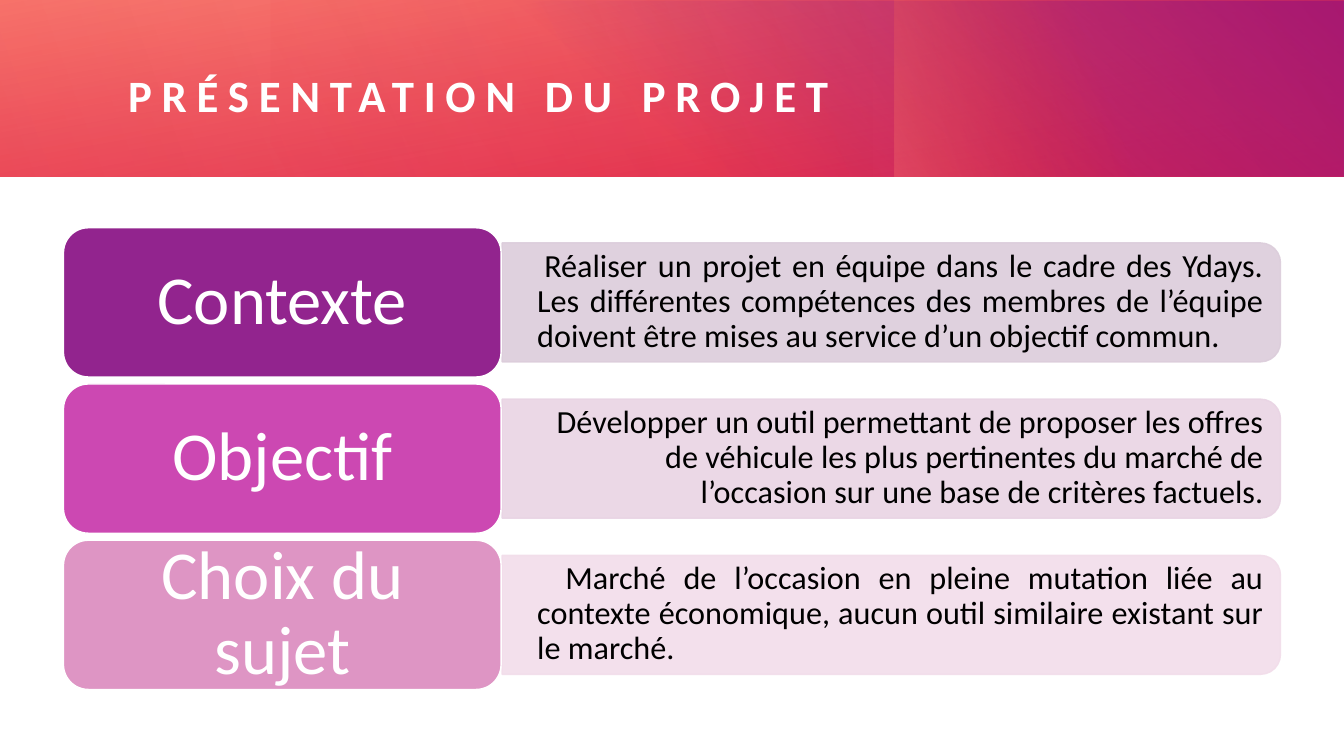
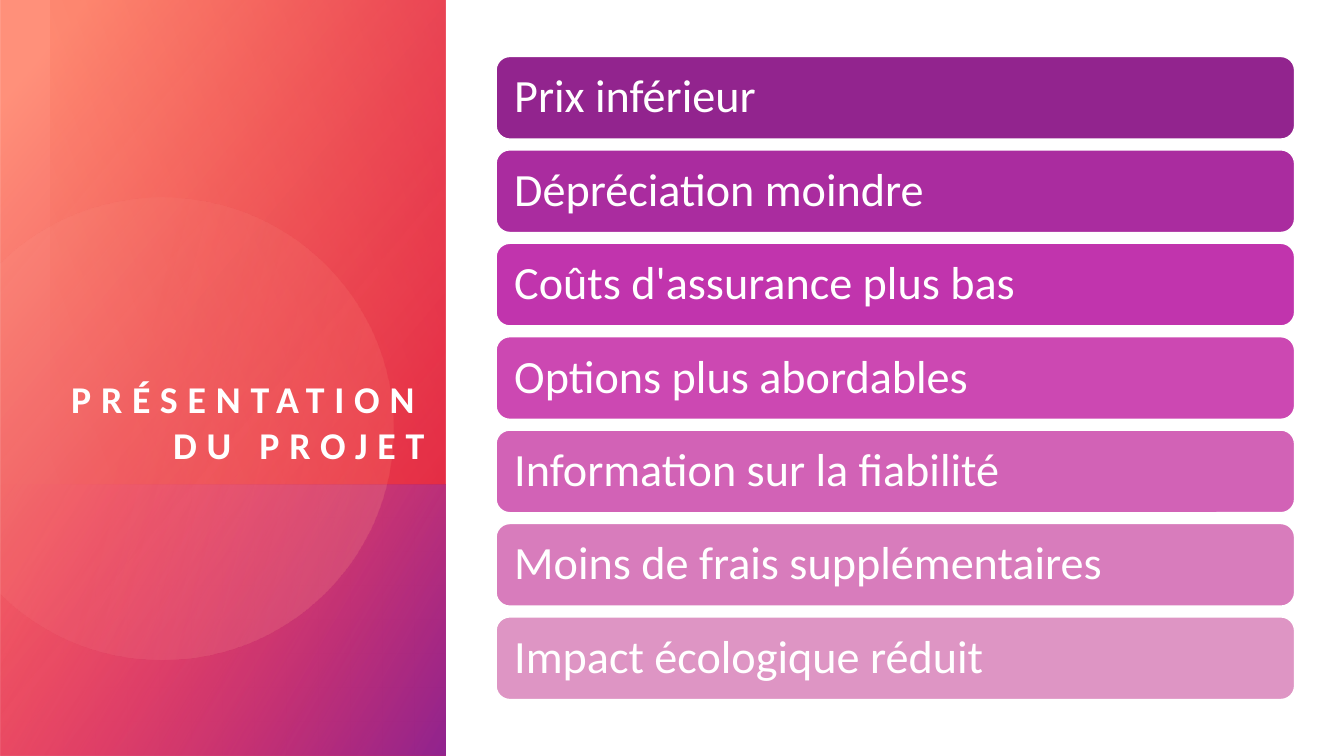
"""Builds two project presentation slides with gradient bands and rounded panels."""
from math import acos, cos, sin

from lxml.etree import SubElement
from pptx import Presentation
from pptx.dml.color import RGBColor as Rgb
from pptx.enum.shapes import MSO_SHAPE as Shape
from pptx.enum.text import MSO_ANCHOR as Anchor, PP_ALIGN as Align
from pptx.oxml.ns import qn
from pptx.util import Inches, Pt

COLORS = {
    "white": "FFFFFF", "black": "000000",
    "red": "DA002F", "orange": "FE4A00", "peach": "FF907A",
    "blush": "FFBCAF", "pink": "FF5076",
    "plum": "92248E", "violet": "AA2C9F", "magenta": "C134AD", "orchid": "CC48B2",
    "rose": "D262B6", "mauve": "D87CBC", "petal": "DE95C4",
    "plum_tint": "DCCDDB", "orchid_tint": "E9D4E4", "petal_tint": "F2DDEA",
}
TITLE = "PRÉSENTATION DU PROJET"


class Slides:
    font = "Calibri"

    def __init__(self):
        self.deck = Presentation()
        self.deck.slide_width, self.deck.slide_height = Inches(13.33), Inches(7.5)
        self.page = None

    def new_page(self):
        self.page = self.deck.slides.add_slide(self.deck.slide_layouts[6])

    def color(self, name):
        return Rgb.from_string(COLORS[name])

    def set_alphas(self, shape, alphas):
        for node, alpha in zip(shape._element.spPr.iter(qn("a:srgbClr")), alphas):
            if alpha < 100:
                SubElement(node, qn("a:alpha")).set("val", str(alpha * 1000))

    def shape(self, kind, left, top, width, height, turn=0):
        if turn % 180:
            left, top = left + (width - height) / 2, top + (height - width) / 2
            width, height = height, width
        shape = self.page.shapes.add_shape(
            kind, Inches(left), Inches(top), Inches(width), Inches(height))
        shape.rotation = turn
        return shape

    def gradient(self, shape, stops, angle):
        shape.shadow.inherit = False
        shape.line.fill.background()
        shape.fill.gradient()
        shape.fill.gradient_angle = 360 - angle
        for stop, (position, name, _) in zip(shape.fill.gradient_stops, stops):
            stop.position = position / 100
            stop.color.rgb = self.color(name)
        self.set_alphas(shape, [alpha for _, _, alpha in stops])

    def layer(self, place, stops, angle, turn=0, flip=False):
        shape = self.shape(Shape.RECTANGLE, *place, turn=turn)
        if flip:
            shape._element.spPr.find(qn("a:xfrm")).set("flipH", "1")
        self.gradient(shape, stops, angle)

    def clipped_circle(self, center_x, center_y, radius, stops, angle, steps=90):
        limit = acos(-center_x / radius)
        turns = [limit * (2 * step / steps - 1) for step in range(steps + 1)]
        points = [(Inches(center_x + radius * cos(turn)),
                   Inches(center_y + radius * sin(turn))) for turn in turns]
        outline = self.page.shapes.build_freeform(*points[0], scale=1.0)
        outline.add_line_segments(points[1:], close=True)
        self.gradient(outline.convert_to_shape(), stops, angle)

    def solid(self, shape, fill, line, alpha=100):
        shape.shadow.inherit = False
        shape.fill.solid()
        shape.fill.fore_color.rgb = self.color(fill)
        shape.line.color.rgb = self.color(line)
        shape.line.width = Pt(1)
        self.set_alphas(shape, (alpha, alpha))

    def add_text(self, shape, text, size, color="white", align=Align.LEFT,
                 anchor=Anchor.MIDDLE, margins=(0, 0), spacing=0.9):
        box = shape.text_frame
        box.word_wrap = True
        box.vertical_anchor = anchor
        box.margin_left = box.margin_right = Inches(margins[0])
        box.margin_top = box.margin_bottom = Inches(margins[1])
        para = box.paragraphs[0]
        para.alignment, para.line_spacing = align, spacing
        span = para.add_run()
        span.text = text
        span.font.name, span.font.size = self.font, Pt(size)
        span.font.color.rgb = self.color(color)
        return para, span

    def text_box(self, left, top, width, height):
        return self.page.shapes.add_textbox(
            Inches(left), Inches(top), Inches(width), Inches(height))

    def title(self, place, size, align=Align.LEFT, anchor=Anchor.MIDDLE):
        _, span = self.add_text(self.text_box(*place), TITLE, size,
                                align=align, anchor=anchor, spacing=1.0)
        span.font.bold = True
        span._r.get_or_add_rPr().set("spc", "700")

    def panel(self, place, fill, text, size, align, margins):
        shape = self.shape(Shape.ROUNDED_RECTANGLE, *place)
        self.solid(shape, fill, "white")
        self.add_text(shape, text, size, align=align, margins=margins)

    def detail(self, top, tint, text, align, indent):
        strip = self.shape(Shape.ROUND_2_SAME_RECTANGLE, 4.98, top, 7.72, 1.18, turn=90)
        self.solid(strip, tint, tint, alpha=90)
        box = self.text_box(4.98, top + 0.05, 7.66, 1.07)
        para, _ = self.add_text(box, text, 23, "black", align, margins=(0.1, 0.05))
        properties = para._p.get_or_add_pPr()
        properties.set("marL", str(Inches(0.25)))
        properties.set("indent", str(Inches(indent)))


def build_overview(slides):
    slides.new_page()
    slides.layer((0, 0, 13.33, 1.75), [(0, "red", 83), (100, "peach", 100)], 260)
    slides.layer((4.81, 0.01, 8.52, 1.74), [(22, "plum", 0), (99, "plum", 100)], 310)
    slides.layer((8.87, 0, 3.74, 1.75), [(45, "orange", 0), (99, "peach", 33)], 250, 270)
    slides.layer((2.68, 0, 10.64, 1.75), [(0, "red", 30), (99, "red", 0)], 330, 180)
    slides.layer((0, 0, 8.65, 1.75), [(0, "red", 21), (99, "red", 0)], 340)
    slides.title((1.27, 0.41, 11.35, 1.06), 32)
    rows = [
        ("Contexte", "plum", Align.JUSTIFY, 0.07,
         "Réaliser un projet en équipe dans le cadre des Ydays. Les différentes "
         "compétences des membres de l’équipe doivent être mises au service "
         "d’un objectif commun."),
        ("Objectif", "orchid", Align.RIGHT, 0,
         "Développer un outil permettant de proposer les offres de véhicule les plus "
         "pertinentes du marché de l’occasion sur une base de critères factuels."),
        ("Choix du sujet", "petal", Align.JUSTIFY, 0.28,
         "Marché de l’occasion en pleine mutation liée au contexte économique, "
         "aucun outil similaire existant sur le marché."),
    ]
    for index, (label, fill, align, indent, text) in enumerate(rows):
        top = 2.26 + 1.55 * index
        slides.detail(top + 0.15, fill + "_tint", text, align, indent)
        slides.panel((0.63, top, 4.34, 1.48), fill, label, 49, Align.CENTER, (0.2, 0.1))


def build_benefits(slides):
    slides.new_page()
    slides.layer((0, 0, 4.42, 7.5), [(8, "peach", 100), (100, "red", 89)], 50, 270, True)
    slides.layer((0, 4.81, 4.42, 2.69), [(0, "pink", 0), (99, "plum", 100)], 60, 270, True)
    slides.clipped_circle(1.61, 4.25, 2.29, [(36, "blush", 6), (100, "peach", 26)], 14)
    slides.layer((0.5, 0, 3.92, 4.81), [(0, "red", 29), (100, "orange", 0)], 110, 90, True)
    slides.title((0.5, 0.95, 3.71, 3.68), 27, Align.RIGHT, Anchor.BOTTOM)
    benefits = [
        ("Prix inférieur", "plum"),
        ("Dépréciation moindre", "violet"),
        ("Coûts d'assurance plus bas", "magenta"),
        ("Options plus abordables", "orchid"),
        ("Information sur la fiabilité", "rose"),
        ("Moins de frais supplémentaires", "mauve"),
        ("Impact écologique réduit", "petal"),
    ]
    first, last = 0.56, 6.12
    pitch = (last - first) / (len(benefits) - 1)
    for index, (text, fill) in enumerate(benefits):
        place = (4.92, first + pitch * index, 7.92, 0.82)
        slides.panel(place, fill, text, 33, Align.LEFT, (0.14, 0.14))


def main():
    slides = Slides()
    build_overview(slides)
    build_benefits(slides)
    slides.deck.save("out.pptx")


if __name__ == "__main__":
    main()
